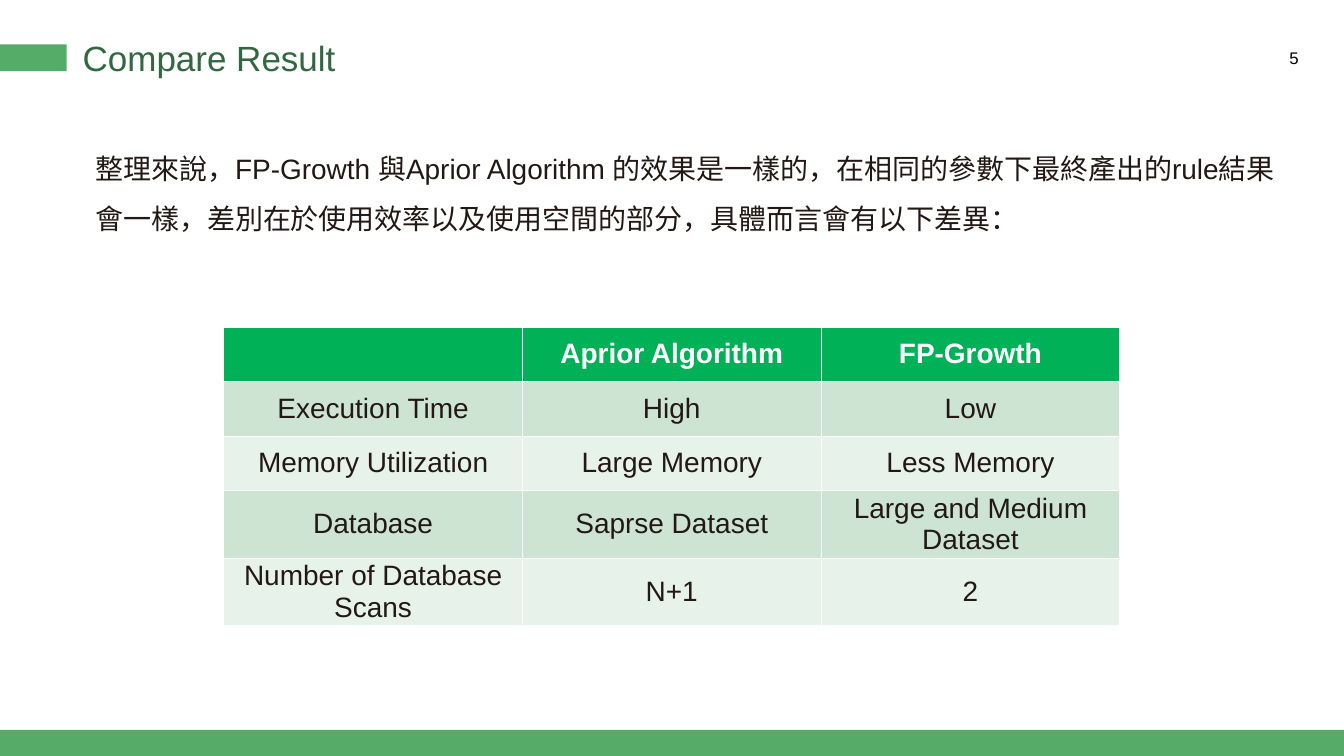
from dataclasses import dataclass

from lxml import etree
from pptx import Presentation
from pptx import util as u
from pptx.dml.color import RGBColor
from pptx.enum import shapes, text
from pptx.oxml import ns


@dataclass(frozen=True)
class Theme:
    font: str = "Arial"
    bar: str = "55AB68"
    title: str = "326841"
    ink: str = "221815"
    number: str = "000000"
    white: str = "FFFFFF"
    header: str = "00B157"
    bands: tuple[str, str] = ("CCE4D1", "E7F2EA")
    title_pt: int = 50
    body_pt: int = 40
    number_pt: int = 24


@dataclass(frozen=True)
class Box:
    left: float
    top: float
    width: float
    height: float

    def emu(self) -> tuple[int, ...]:
        return tuple(u.Inches(v) for v in (self.left, self.top, self.width, self.height))


THEME = Theme()
MARGIN = 0.06
ALIGN = text.PP_ALIGN

BARS = [Box(0, 0.88, 1.32, 0.53), Box(0, 14.48, 26.67, 0.52)]
TITLE = Box(1.58, 0.6, 22.78, 1.08)
NUMBER = Box(24.24, 0.89, 1.59, 0.5)
BODY = Box(1.58, 2.61, 24.05, 9.9)
TABLE = Box(4.44, 6.49, 17.78, 5.4)

SUMMARY = [
    "整理來說，FP-Growth 與Aprior Algorithm 的效果是一樣的，在相同的參數下最終產出的rule結果",
    "會一樣，差別在於使用效率以及使用空間的部分，具體而言會有以下差異：",
]
COMPARISON = [
    ("", "Aprior Algorithm", "FP-Growth"),
    ("Execution Time", "High", "Low"),
    ("Memory Utilization", "Large Memory", "Less Memory"),
    ("Database", "Saprse Dataset", "Large and Medium Dataset"),
    ("Number of Database Scans", "N+1", "2"),
]


def style_text(tf, size: int, color: str, align=ALIGN.LEFT, bold: bool = False) -> None:
    for p in tf.paragraphs:
        p.alignment = align
        for r in p.runs:
            r.font.name = THEME.font
            r.font.size = u.Pt(size)
            r.font.bold = bold
            r.font.color.rgb = RGBColor.from_string(color)


def set_frame(tf) -> None:
    tf.word_wrap = True
    tf.auto_size = text.MSO_AUTO_SIZE.NONE
    tf.margin_left = tf.margin_right = u.Inches(MARGIN)
    tf.margin_top = tf.margin_bottom = u.Inches(MARGIN)


def add_bar(s, box: Box) -> None:
    sp = s.shapes.add_shape(shapes.MSO_SHAPE.RECTANGLE, *box.emu())
    sp.shadow.inherit = False
    sp.fill.solid()
    sp.fill.fore_color.rgb = RGBColor.from_string(THEME.bar)
    sp.line.fill.background()


def add_text(s, box: Box, content: str, size: int, color: str, align=ALIGN.LEFT):
    tf = s.shapes.add_textbox(*box.emu()).text_frame
    set_frame(tf)
    tf.text = content
    style_text(tf, size, color, align)
    return tf


def set_borders(cell, top: int, bottom: int) -> None:
    """Draw the cell's white borders, widths in points."""
    tc_pr = cell._tc.get_or_add_tcPr()
    sides = {"lnL": 1, "lnR": 1, "lnT": top, "lnB": bottom}
    for i, (tag, width) in enumerate(sides.items()):
        ln = etree.Element(ns.qn(f"a:{tag}"), w=str(u.Pt(width)))
        fill = etree.SubElement(ln, ns.qn("a:solidFill"))
        etree.SubElement(fill, ns.qn("a:srgbClr"), val=THEME.white)
        tc_pr.insert(i, ln)


def add_comparison(s, box: Box, rows: list[tuple[str, ...]]) -> None:
    table = s.shapes.add_table(len(rows), len(rows[0]), *box.emu()).table
    for i, row in enumerate(rows):
        head = i == 0
        fill = THEME.header if head else THEME.bands[(i - 1) % 2]
        for j, content in enumerate(row):
            cell = table.cell(i, j)
            cell.fill.solid()
            cell.fill.fore_color.rgb = RGBColor.from_string(fill)
            cell.vertical_anchor = text.MSO_ANCHOR.MIDDLE
            cell.text_frame.text = content
            style_text(cell.text_frame, THEME.body_pt,
                       THEME.white if head else THEME.ink, ALIGN.CENTER, head)
            set_borders(cell, top=3 if i == 1 else 1, bottom=3 if head else 1)


def main() -> None:
    prs = Presentation()
    prs.slide_width, prs.slide_height = u.Inches(26.67), u.Inches(15)
    s = prs.slides.add_slide(prs.slide_layouts[5])

    # Green bars beside the title and along the foot
    for box in BARS:
        add_bar(s, box)

    # Title and page number
    title = s.shapes.title
    title.left, title.top, title.width, title.height = TITLE.emu()
    tf = title.text_frame
    set_frame(tf)
    tf.vertical_anchor = text.MSO_ANCHOR.MIDDLE
    tf.text = "Compare Result"
    style_text(tf, THEME.title_pt, THEME.title)
    add_text(s, NUMBER, "5", THEME.number_pt, THEME.number, ALIGN.RIGHT)

    # Summary with hanging indents
    tf = add_text(s, BODY, "\n".join(SUMMARY), THEME.body_pt, THEME.ink)
    for p in tf.paragraphs:
        p.line_spacing = 1.5
        p_pr = p._p.get_or_add_pPr()
        p_pr.set("marL", str(u.Inches(0.5)))
        p_pr.set("indent", str(u.Inches(-0.25)))

    # Comparison table
    add_comparison(s, TABLE, COMPARISON)
    prs.save("out.pptx")


if __name__ == "__main__":
    main()
